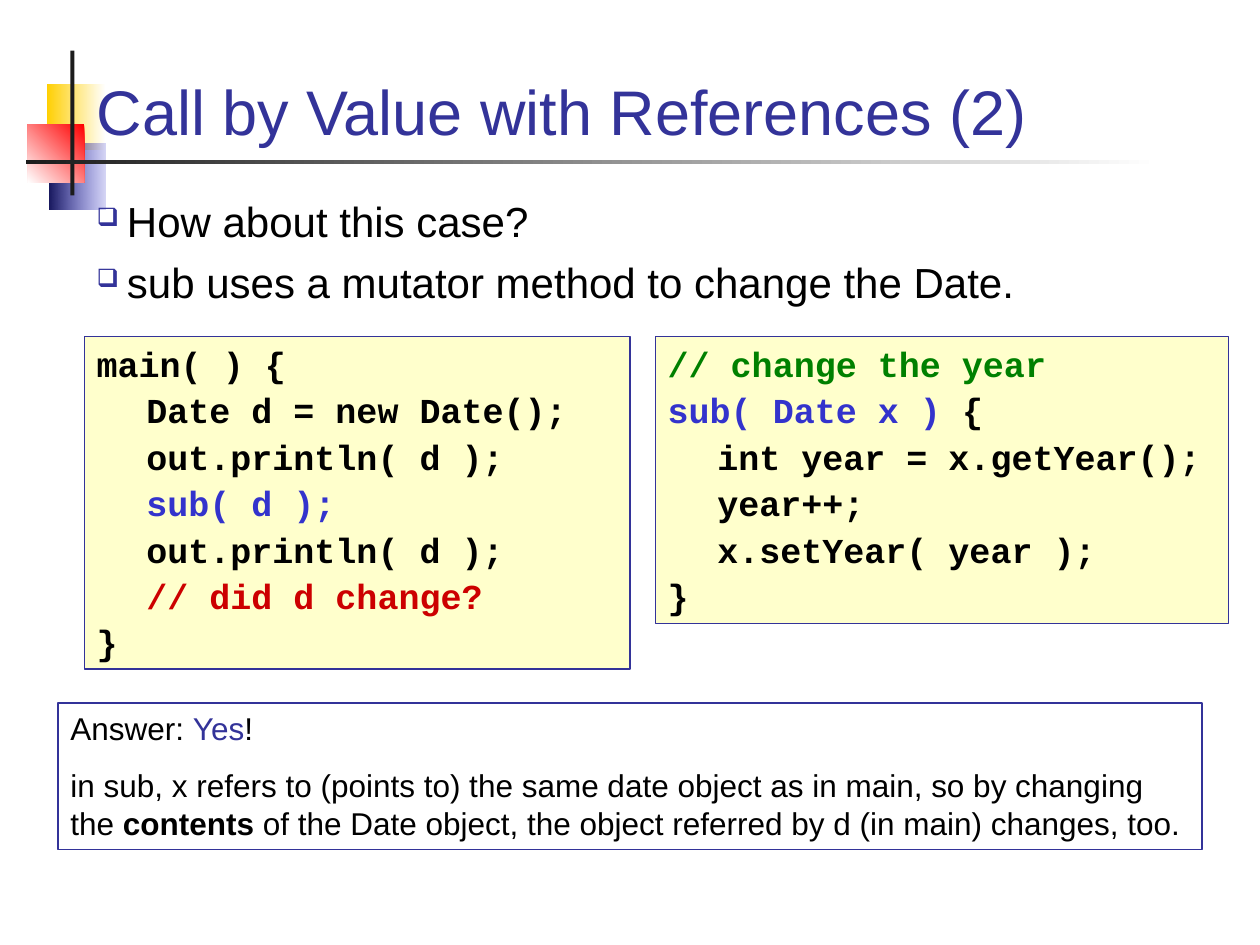
from lxml.etree import SubElement
from pptx import Presentation
from pptx.dml.color import RGBColor
from pptx.enum.shapes import MSO_SHAPE
from pptx.enum.text import MSO_ANCHOR, MSO_AUTO_SIZE, PP_ALIGN
from pptx.oxml.ns import qn
from pptx.util import Cm, Pt

BLACK = RGBColor(0x00, 0x00, 0x00)
WHITE = RGBColor(0xFF, 0xFF, 0xFF)
CHARCOAL = RGBColor(0x1C, 0x1C, 0x1C)
NAVY = RGBColor(0x33, 0x33, 0x99)
DEEP_NAVY = RGBColor(0x17, 0x17, 0x5E)
BLUE = RGBColor(0x33, 0x33, 0xCC)
GOLD = RGBColor(0xFF, 0xCF, 0x01)
RED = RGBColor(0xFF, 0x00, 0x00)
DARK_RED = RGBColor(0xCC, 0x00, 0x00)
GREEN = RGBColor(0x00, 0x80, 0x00)
CREAM = RGBColor(0xFF, 0xFF, 0xCC)

SANS = "Arial"
MONO = "Courier New"


class Deck:
    leading = 1.2
    indent = Cm(0.61)
    tab = Cm(1)

    def __init__(self):
        self.prs = Presentation()
        self.prs.slide_width = Cm(25.4)
        self.prs.slide_height = Cm(19.05)
        self.slide = self.prs.slides.add_slide(self.prs.slide_layouts[6])

    def rect(self, box, fill=None, line=None):
        s = self.slide.shapes.add_shape(MSO_SHAPE.RECTANGLE, *map(Cm, box))
        s.shadow.inherit = False
        if fill is None:
            s.fill.background()
        else:
            s.fill.solid()
            s.fill.fore_color.rgb = fill
        if line is None:
            s.line.fill.background()
        else:
            s.line.color.rgb = line
            s.line.width = Pt(0.75)
        return s

    def gradient(self, box, start, end, angle=180, start_alpha=None):
        s = self.rect(box)
        s.fill.gradient()
        s.fill.gradient_angle = angle
        for stop, color in zip(s.fill.gradient_stops, (start, end)):
            stop.color.rgb = color
        if start_alpha is not None:
            clr = next(s._element.spPr.iter(qn("a:srgbClr")))
            SubElement(clr, qn("a:alpha")).set("val", str(start_alpha * 1000))

    def bullet(self, p):
        pPr = p._p.get_or_add_pPr()
        pPr.set("marL", str(self.indent))
        pPr.set("indent", str(-self.indent))
        clr = SubElement(pPr, qn("a:buClr"))
        SubElement(clr, qn("a:srgbClr")).set("val", str(NAVY))
        SubElement(pPr, qn("a:buSzPct")).set("val", "60000")
        SubElement(pPr, qn("a:buChar")).set("char", "❑")

    def tab_stop(self, p):
        tabs = SubElement(p._p.get_or_add_pPr(), qn("a:tabLst"))
        stop = SubElement(tabs, qn("a:tab"))
        stop.set("pos", str(self.tab))
        stop.set("algn", "l")

    def fill_text(self, tf, lines, size, font=SANS, color=BLACK, bold=False,
                  gap=0, bullets=False, tabs=False):
        tf.word_wrap = True
        for i, line in enumerate(lines):
            p = tf.add_paragraph() if i else tf.paragraphs[0]
            p.alignment = PP_ALIGN.LEFT
            p.line_spacing = Pt(self.leading * size)
            p.space_before = Pt(gap if i else 0)
            if bullets:
                self.bullet(p)
            if tabs:
                self.tab_stop(p)
            for part in [line] if isinstance(line, str) else line:
                text, style = (part, None) if isinstance(part, str) else part
                r = p.add_run()
                r.text = text
                r.font.name = font
                r.font.size = Pt(size)
                r.font.bold = bold or style == "bold"
                r.font.color.rgb = style if isinstance(style, RGBColor) else color

    def text(self, box, lines, size, anchor=MSO_ANCHOR.TOP, **style):
        tf = self.slide.shapes.add_textbox(*map(Cm, box)).text_frame
        tf.vertical_anchor = anchor
        self.fill_text(tf, lines, size, **style)

    def panel(self, box, lines, size, fill=None, **style):
        tf = self.rect(box, fill, NAVY).text_frame
        tf.vertical_anchor = MSO_ANCHOR.TOP
        self.fill_text(tf, lines, size, **style)
        tf.auto_size = MSO_AUTO_SIZE.SHAPE_TO_FIT_TEXT

    def code(self, box, lines):
        self.panel(box, lines, 20, CREAM, font=MONO, bold=True, gap=2.5, tabs=True)


def main():
    deck = Deck()
    deck.gradient((0.94, 1.7, 1.19, 1.32), WHITE, GOLD)
    deck.gradient((0.99, 2.9, 1.14, 1.32), BLUE, DEEP_NAVY, start_alpha=20)
    deck.gradient((0.56, 2.51, 1.14, 1.17), RED, WHITE, angle=225)
    deck.rect((1.42, 1.02, 0.08, 2.92), CHARCOAL)
    deck.gradient((0.53, 3.23, 22.83, 0.08), WHITE, CHARCOAL)

    deck.text((1.7, 0.71, 22, 2.41), ["Call by Value with References (2)"], 36,
              anchor=MSO_ANCHOR.BOTTOM, color=NAVY)
    deck.text((1.7, 3.81, 22, 2.97),
              ["How about this case?",
               "sub uses a mutator method to change the Date."],
              24, gap=6, bullets=True)

    deck.code((1.7, 6.78, 11, 6.71), [
        "main( ) {",
        "\tDate d = new Date();",
        "\tout.println( d );",
        ["\t", ("sub( d );", BLUE)],
        "\tout.println( d );",
        ["\t", ("// did d change?", DARK_RED)],
        "}",
    ])
    deck.code((13.21, 6.78, 11.56, 5.79), [
        [("// change the year", GREEN)],
        [("sub( Date x )", BLUE), " {"],
        "\tint year = x.getYear();",
        "\tyear++;",
        "\tx.setYear( year );",
        "}",
    ])
    deck.panel((1.17, 14.17, 23.06, 2.95), [
        ["Answer: ", ("Yes", NAVY), "!"],
        ["in sub, x refers to (points to) the same date object as in main, "
         "so by changing the ",
         ("contents", "bold"),
         " of the Date object, the object referred by d (in main) changes, too."],
    ], 18, gap=11.2)
    deck.prs.save("out.pptx")


if __name__ == "__main__":
    main()
